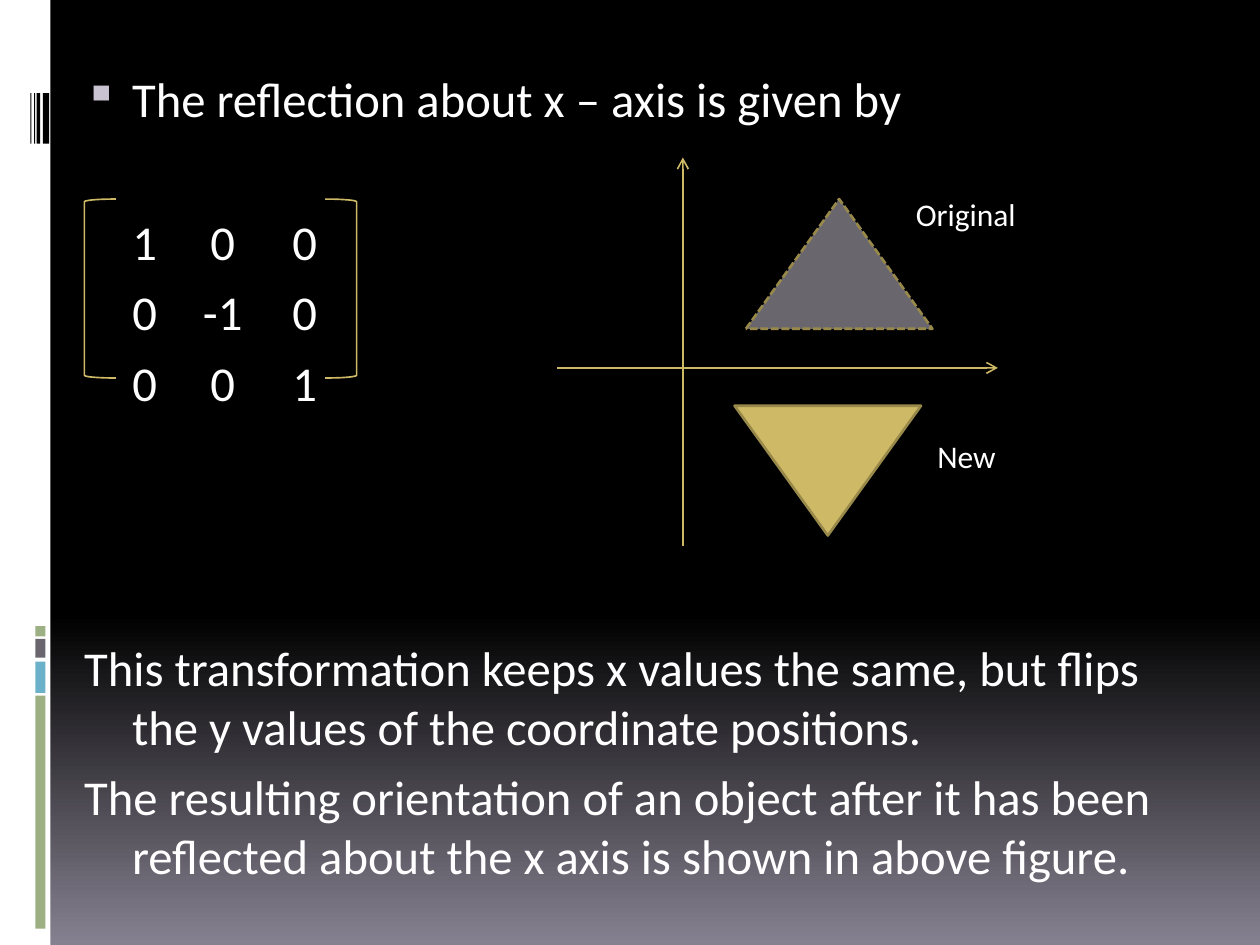
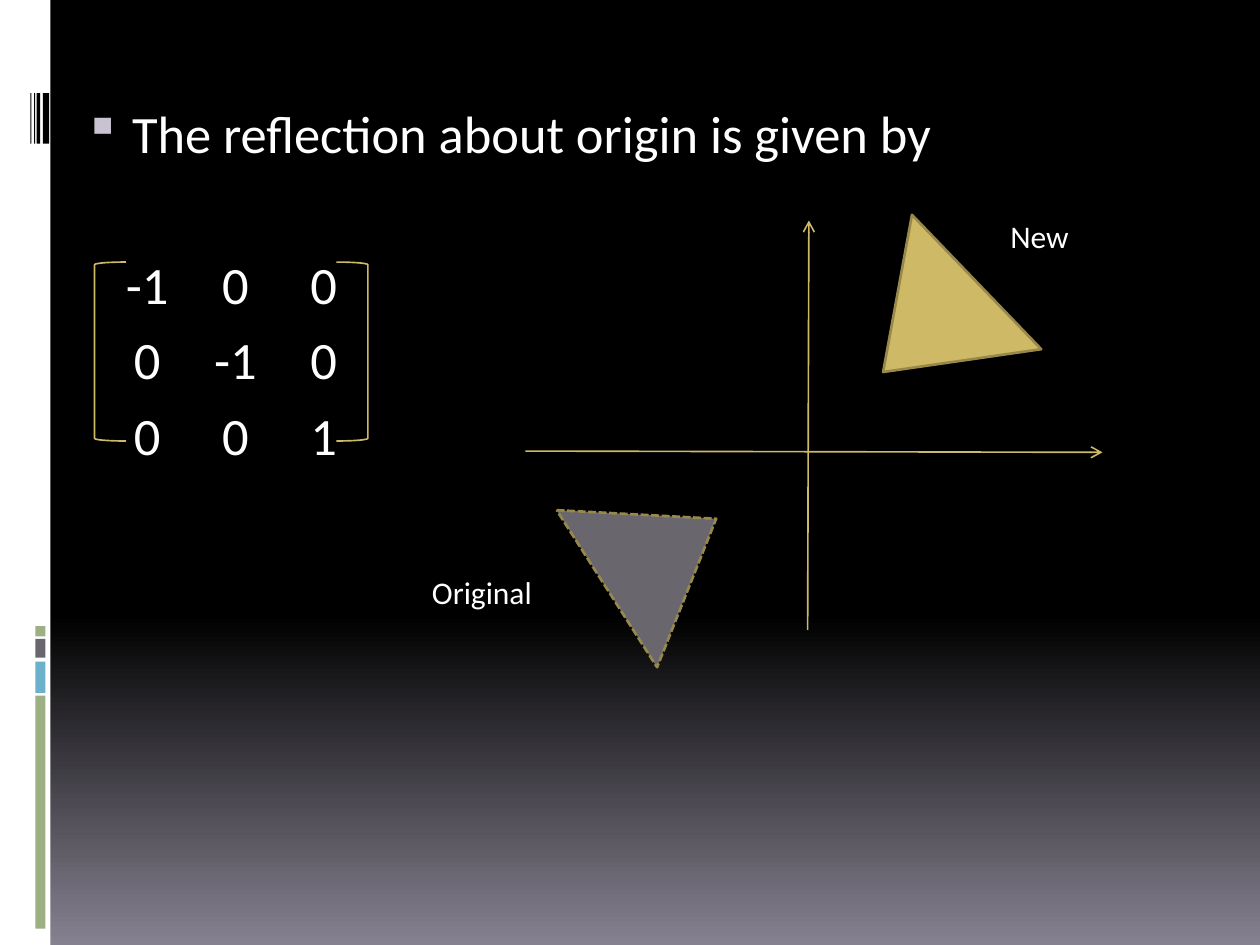
from copy import deepcopy

from lxml import etree
from pptx import Presentation
from pptx.dml.color import RGBColor
from pptx.enum.dml import MSO_LINE
from pptx.enum.shapes import MSO_CONNECTOR, MSO_SHAPE
from pptx.enum.text import PP_ALIGN
from pptx.oxml import parse_xml
from pptx.oxml.ns import nsdecls, qn
from pptx.util import Inches, Pt

RECTANGLE = MSO_SHAPE.RECTANGLE
TRIANGLE = MSO_SHAPE.FLOWCHART_EXTRACT
LEFT_BRACKET = MSO_SHAPE.LEFT_BRACKET
RIGHT_BRACKET = MSO_SHAPE.RIGHT_BRACKET
STRAIGHT = MSO_CONNECTOR.STRAIGHT
DASH = MSO_LINE.SQUARE_DOT
LEFT = PP_ALIGN.LEFT
JUSTIFY = PP_ALIGN.JUSTIFY

BLACK = RGBColor(0x00, 0x00, 0x00)
WHITE = RGBColor(0xFF, 0xFF, 0xFF)
MAUVE = RGBColor(0x86, 0x81, 0x90)
GREEN = RGBColor(0x9C, 0xB0, 0x84)
BLUE = RGBColor(0x6B, 0xB1, 0xC9)
GRAY = RGBColor(0x69, 0x67, 0x6D)
GOLD = RGBColor(0xCE, 0xB9, 0x66)
DARK_GOLD = RGBColor(0x98, 0x89, 0x4B)
BULLET_COLOR = RGBColor(0xC9, 0xC2, 0xD1)

FONT = "Calibri"
PARAGRAPH_GAP = 7
LINE_HEIGHT = 1.22
TRIANGLE_SIZE = (1.48, 1.03)
BRACKET_SIZE = (0.25, 1.42)
LABEL_SIZE = (1.25, 0.42)

SIDE_BAND = [
    (0, 0, 0.4, 7.5, WHITE),
    (0.28, 5.52, 0.08, 1.85, GREEN),
    (0.28, 5.25, 0.08, 0.25, BLUE),
    (0.28, 5.07, 0.08, 0.15, GRAY),
    (0.28, 4.97, 0.08, 0.08, GREEN),
    (0.34, 0.74, 0.05, 0.4, BLACK),
    (0.29, 0.74, 0.03, 0.4, BLACK),
    (0.27, 0.74, 0.01, 0.4, BLACK),
    (0.24, 0.74, 0.01, 0.4, BLACK),
]

REFLECTIONS = [
    {
        "heading": "The reflection about x – axis is given by",
        "matrix": [("1", "0", "0"), ("0", "-1", "0"), ("0", "0", "1")],
        "columns": (0.55, 1.17, 1.82),
        "notes": [
            "This transformation keeps x values the same, but flips the y values "
            "of the coordinate positions.",
            "The resulting orientation of an object after it has been reflected "
            "about the x axis is shown in above figure.",
        ],
        "body": (0.5, 0.5, 9, 6.17),
        "size": 27.8,
        "axes": [(4.42, 2.92, 7.92, 2.92), (5.42, 4.33, 5.42, 1.25)],
        "new": (5.83, 3.22, 180),
        "before": (5.92, 1.58, 0),
        "labels": [("Original", 7.17, 1.5), ("New", 7.34, 3.42)],
        "brackets": (0.67, 2.58, 1.58),
    },
    {
        "heading": "The reflection about origin is given by",
        "matrix": [("-1", "0", "0"), ("0", "-1", "0"), ("0", "0", "1")],
        "columns": (0.57, 1.27, 1.97),
        "notes": [],
        "body": (0.5, 0.75, 9, 6),
        "size": 30,
        "axes": [(4.17, 3.58, 8.75, 3.59), (6.41, 5, 6.42, 1.75)],
        "new": (6.64, 2.08, 226.1),
        "before": (4.51, 3.88, 57.4),
        "labels": [("Original", 3.33, 4.5), ("New", 7.92, 1.67)],
        "brackets": (0.75, 2.67, 2.08),
    },
]


def add_figure(slide, kind, box, fill=None, line=None, width=0.94, rotation=0):
    shape = slide.shapes.add_shape(kind, *[Inches(value) for value in box])
    shape.shadow.inherit = False
    shape.rotation = rotation
    if fill is None:
        shape.fill.background()
    else:
        shape.fill.solid()
        shape.fill.fore_color.rgb = fill
    if line is None:
        shape.line.fill.background()
    else:
        shape.line.color.rgb = line
        shape.line.width = Pt(width)
    return shape


def write_text(frame, text, size=18, align=LEFT, before=0, hanging=False,
               bullet=False, columns=()):
    paragraph = frame.paragraphs[0]
    if paragraph.runs:
        paragraph = frame.add_paragraph()
    paragraph.alignment = align
    paragraph.space_before = Pt(before)
    properties = paragraph._p.get_or_add_pPr()
    if hanging:
        properties.set("marL", str(Inches(0.45)))
        properties.set("indent", str(Inches(-0.38)))
    if bullet:
        for element in (
            f'<a:buClr {nsdecls("a")}><a:srgbClr val="{BULLET_COLOR}"/></a:buClr>',
            f'<a:buSzPct {nsdecls("a")} val="95000"/>',
            f'<a:buChar {nsdecls("a")} char="▪"/>',
        ):
            properties.append(parse_xml(element))
    if columns:
        tabs = etree.SubElement(properties, qn("a:tabLst"))
        for column in columns:
            etree.SubElement(tabs, qn("a:tab"), pos=str(Inches(column)), algn="ctr")
    run = paragraph.add_run()
    run.text = text
    run.font.name = FONT
    run.font.size = Pt(size)
    run.font.color.rgb = WHITE


presentation = Presentation()
presentation.slide_width = Inches(10)
presentation.slide_height = Inches(7.5)

master = presentation.slide_master
background = master.background.fill
background.gradient()
background.gradient_angle = 270
stop_list = master._element.xpath(".//p:bg//a:gsLst")[0]
stop_list.insert(1, deepcopy(stop_list[0]))
for stop, position, color in zip(
    background.gradient_stops, (0, 0.65, 1), (BLACK, BLACK, MAUVE)
):
    stop.position = position
    stop.color.rgb = color

for reflection in REFLECTIONS:
    slide = presentation.slides.add_slide(presentation.slide_layouts[6])
    for *box, color in SIDE_BAND:
        add_figure(slide, RECTANGLE, box, fill=color)

    size = reflection["size"]
    line_step = size * LINE_HEIGHT + PARAGRAPH_GAP
    body = slide.shapes.add_textbox(*[Inches(value) for value in reflection["body"]])
    frame = body.text_frame
    frame.word_wrap = True
    write_text(frame, reflection["heading"], size=size, align=JUSTIFY,
               hanging=True, bullet=True)
    for index, row in enumerate(reflection["matrix"]):
        before = PARAGRAPH_GAP + (line_step if index == 0 else 0)
        write_text(frame, "\t" + "\t".join(row), size=size, before=before,
                   columns=reflection["columns"])
    for index, note in enumerate(reflection["notes"]):
        before = PARAGRAPH_GAP + (3 * line_step if index == 0 else 0)
        write_text(frame, note, size=size, before=before, hanging=True)

    for axis in reflection["axes"]:
        connector = slide.shapes.add_connector(
            STRAIGHT, *[Inches(value) for value in axis]
        )
        connector.line.color.rgb = GOLD
        connector.line.width = Pt(0.94)
        etree.SubElement(connector.line._get_or_add_ln(), qn("a:tailEnd"), type="arrow")
        etree.SubElement(connector._element.spPr, qn("a:effectLst"))

    for name, color in (("new", GOLD), ("before", GRAY)):
        left, top, rotation = reflection[name]
        triangle = add_figure(slide, TRIANGLE, (left, top, *TRIANGLE_SIZE), fill=color,
                              line=DARK_GOLD, width=1.5, rotation=rotation)
        if name == "before":
            triangle.line.dash_style = DASH

    for text, left, top in reflection["labels"]:
        label = slide.shapes.add_textbox(
            *[Inches(value) for value in (left, top, *LABEL_SIZE)]
        )
        label.text_frame.word_wrap = True
        write_text(label.text_frame, text)

    left_bracket, right_bracket, top = reflection["brackets"]
    for kind, left in ((RIGHT_BRACKET, right_bracket), (LEFT_BRACKET, left_bracket)):
        add_figure(slide, kind, (left, top, *BRACKET_SIZE), line=GOLD)

presentation.save("out.pptx")
